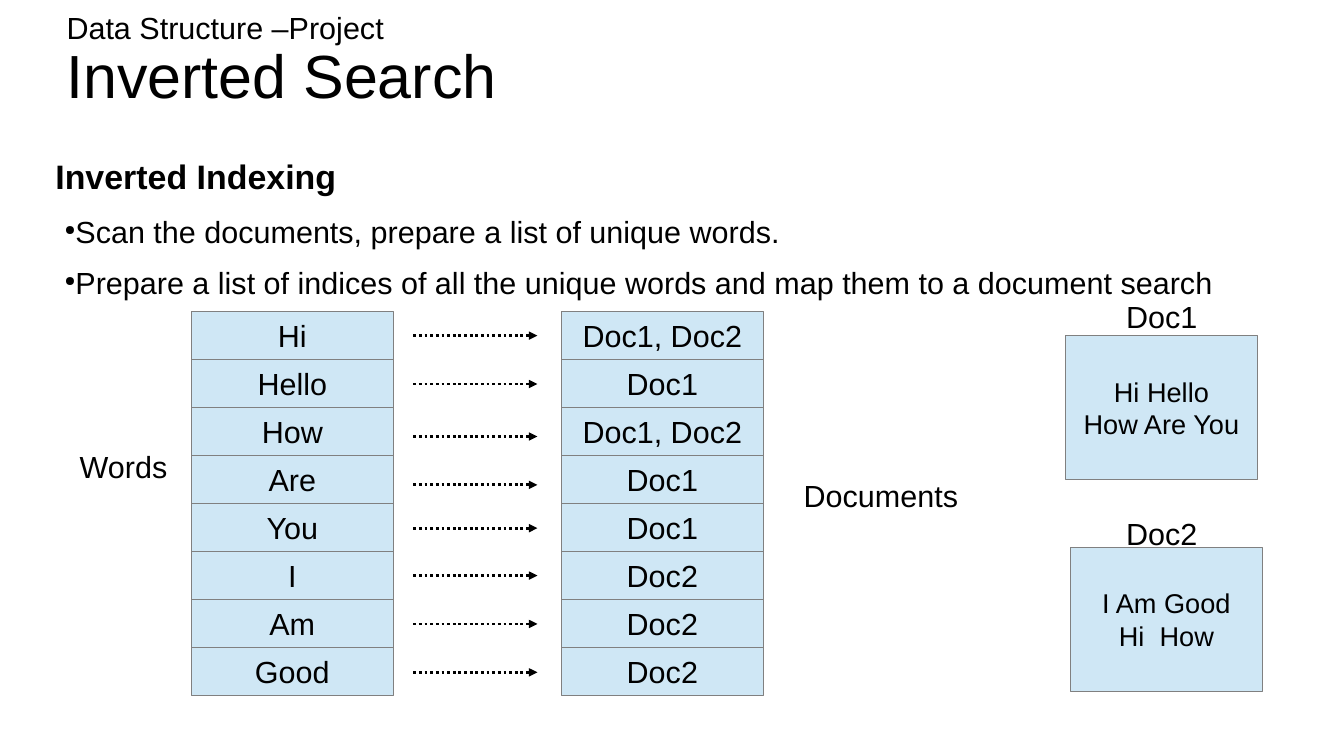
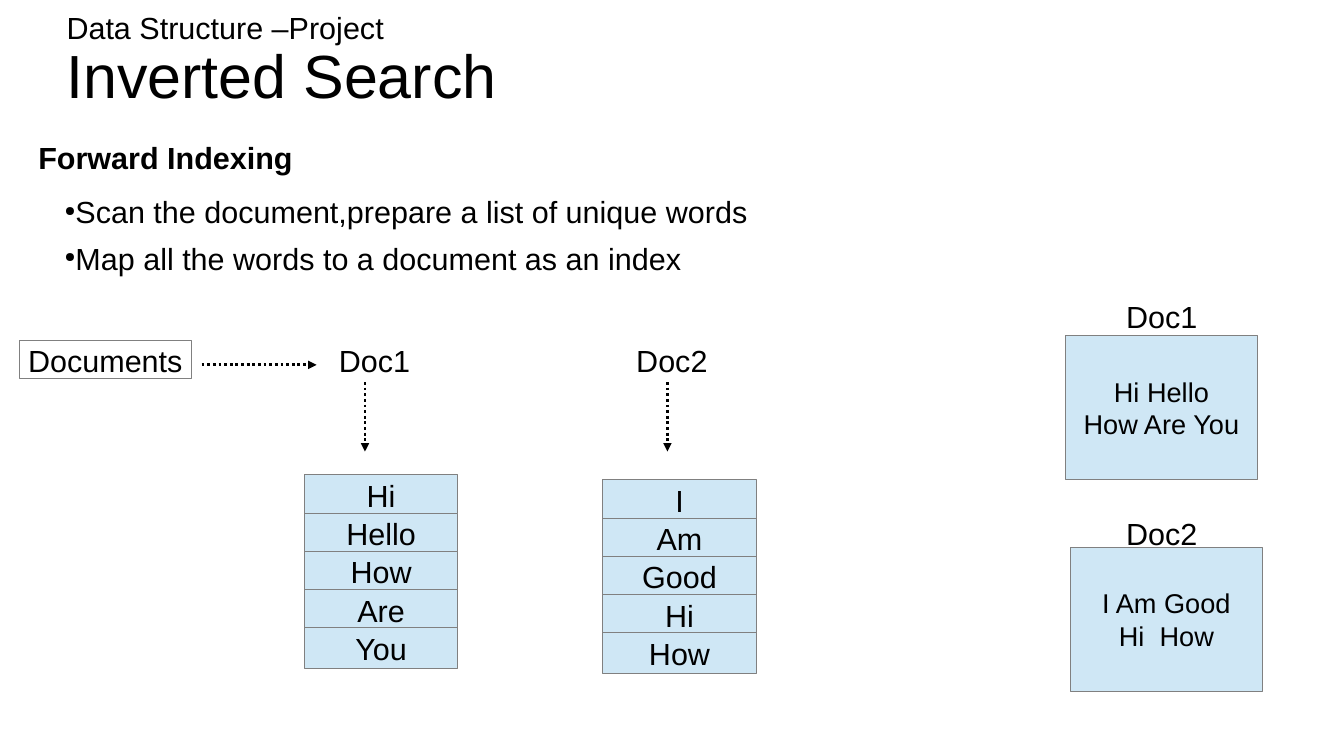
from dataclasses import dataclass

from lxml.etree import SubElement
from pptx import Presentation
from pptx.dml.color import RGBColor
from pptx.enum.dml import MSO_LINE
from pptx.enum.shapes import MSO_CONNECTOR, MSO_SHAPE
from pptx.enum.text import MSO_ANCHOR, PP_ALIGN
from pptx.oxml.ns import qn
from pptx.shapes.autoshape import Shape
from pptx.slide import Slide
from pptx.text.text import TextFrame, _Paragraph
from pptx.util import Inches, Pt

BLACK = RGBColor(0x00, 0x00, 0x00)
WHITE = RGBColor(0xFF, 0xFF, 0xFF)
PALE_BLUE = RGBColor(0xCF, 0xE7, 0xF5)
GREY = RGBColor(0x80, 0x80, 0x80)

BODY = {"name": "Arial", "size": Pt(21.8), "bold": False}
TITLE = BODY | {"size": Pt(43.5)}
DOC_TEXT = BODY | {"size": Pt(19.4)}
HEADING = BODY | {"bold": True}
LARGE_HEADING = HEADING | {"size": Pt(24.2)}

TEXT_MARGINS = {
    "margin_left": Inches(0.12),
    "margin_right": Inches(0.12),
    "margin_top": Inches(0.06),
    "margin_bottom": Inches(0.06),
}
NO_MARGINS = dict.fromkeys(TEXT_MARGINS, 0)


@dataclass(frozen=True)
class Box:
    left: float
    top: float
    width: float
    height: float

    def emu(self) -> tuple[int, int, int, int]:
        return (Inches(self.left), Inches(self.top),
                Inches(self.width), Inches(self.height))


@dataclass(frozen=True)
class Document:
    name: str
    lines: tuple[str, ...]
    label: Box
    page: Box


@dataclass(frozen=True)
class Column:
    """A stack of word cells; step is the distance between cell tops."""
    cells: tuple[str, ...]
    first: Box
    step: float


DOCUMENTS = (
    Document("Doc1", ("Hi Hello", "How Are You"),
             Box(11.05, 2.9, 1.2, 0.46), Box(10.57, 3.33, 1.9, 1.43)),
    Document("Doc2", ("I Am Good", "Hi  How"),
             Box(11.05, 5.05, 1.2, 0.46), Box(10.62, 5.43, 1.9, 1.43)),
)


def set_attrs(target: object, values: dict) -> None:
    for name, value in values.items():
        setattr(target, name, value)


def add_run(p: _Paragraph, text: str, fmt: dict) -> None:
    r = p.add_run()
    r.text = text
    set_attrs(r.font, fmt)
    r.font.color.rgb = BLACK


def fill_frame(tf: TextFrame, lines: tuple[str, ...], fmt: dict,
               align: PP_ALIGN) -> None:
    set_attrs(tf, TEXT_MARGINS)
    for i, line in enumerate(lines):
        p = tf.add_paragraph() if i else tf.paragraphs[0]
        p.alignment = align
        add_run(p, line, fmt)


def add_text(s: Slide, box: Box, *lines: str, fmt: dict = BODY) -> TextFrame:
    tf = s.shapes.add_textbox(*box.emu()).text_frame
    tf.word_wrap = True
    fill_frame(tf, lines, fmt, PP_ALIGN.LEFT)
    return tf


def add_box(s: Slide, box: Box, *lines: str, fmt: dict = BODY,
            fill: RGBColor = PALE_BLUE) -> Shape:
    sp = s.shapes.add_shape(MSO_SHAPE.RECTANGLE, *box.emu())
    sp.shadow.inherit = False
    sp.fill.solid()
    sp.fill.fore_color.rgb = fill
    sp.line.color.rgb = GREY
    sp.line.width = Pt(0)
    tf = sp.text_frame
    set_attrs(tf, {"word_wrap": False, "vertical_anchor": MSO_ANCHOR.MIDDLE})
    fill_frame(tf, lines, fmt, PP_ALIGN.CENTER)
    return sp


def add_arrow(s: Slide, x1: float, y1: float, x2: float, y2: float) -> None:
    """Draw a dotted hairline with an arrowhead at its end."""
    cxn = s.shapes.add_connector(MSO_CONNECTOR.STRAIGHT, Inches(x1), Inches(y1),
                                 Inches(x2), Inches(y2))
    cxn.line.color.rgb = BLACK
    cxn.line.width = Pt(0)
    cxn.line.dash_style = MSO_LINE.ROUND_DOT
    SubElement(cxn.line._get_or_add_ln(), qn("a:tailEnd"), type="triangle")
    SubElement(cxn._element.spPr, qn("a:effectLst"))


def add_bullets(s: Slide, top: float, gap: float, *lines: str) -> None:
    tf = add_text(s, Box(0.52, top, 11.76, 1.1), *lines)
    for p in tf.paragraphs:
        p.space_after = Pt(gap)
        pPr = p._p.get_or_add_pPr()
        color = SubElement(pPr, qn("a:buClr"))
        SubElement(color, qn("a:srgbClr"), val=str(BLACK))
        SubElement(pPr, qn("a:buSzPct"), val="45000")
        SubElement(pPr, qn("a:buChar"), char="●")


def add_column(s: Slide, column: Column) -> None:
    first = column.first
    for i, text in enumerate(column.cells):
        top = first.top + i * column.step
        add_box(s, Box(first.left, top, first.width, first.height), text)


def new_slide(prs: Presentation) -> Slide:
    """Add a slide with the title and the two sample documents."""
    s = prs.slides.add_slide(prs.slide_layouts[6])
    tf = s.shapes.add_textbox(*Box(0.66, 0, 9.29, 1.24).emu()).text_frame
    set_attrs(tf, NO_MARGINS | {"word_wrap": True,
                                "vertical_anchor": MSO_ANCHOR.MIDDLE})
    p = tf.paragraphs[0]
    p.line_spacing = 0.9
    add_run(p, "Data Structure –Project", BODY)
    p.add_line_break()
    add_run(p, "Inverted Search", TITLE)
    for doc in DOCUMENTS:
        add_box(s, doc.page, *doc.lines, fmt=DOC_TEXT)
        add_text(s, doc.label, doc.name)
    return s


def build_inverted(prs: Presentation) -> None:
    s = new_slide(prs)
    add_text(s, Box(0.43, 1.48, 3.33, 0.87), "Inverted Indexing",
             fmt=LARGE_HEADING)
    add_bullets(s, 2.05, 10.3,
                "Scan the documents, prepare a list of unique words.",
                "Prepare a list of indices of all the unique words"
                " and map them to a document search")

    index = {
        "Hi": "Doc1, Doc2", "Hello": "Doc1", "How": "Doc1, Doc2",
        "Are": "Doc1", "You": "Doc1", "I": "Doc2", "Am": "Doc2",
        "Good": "Doc2",
    }
    step = 3.81 / len(index)
    for left, cells in ((1.9, index.keys()), (5.57, index.values())):
        add_column(s, Column(tuple(cells), Box(left, 3.09, 2, step), step))
    for y in (3.33, 3.81, 4.33, 4.81, 5.24, 5.71, 6.19, 6.67):
        add_arrow(s, 4.1, y, 5.33, y)

    add_text(s, Box(0.67, 4.38, 1.32, 0.46), "Words")
    add_text(s, Box(7.85, 4.67, 2.01, 0.46), "Documents")


def build_forward(prs: Presentation) -> None:
    s = new_slide(prs)
    add_text(s, Box(0.26, 1.32, 3.08, 0.8), "Forward Indexing", fmt=HEADING)
    add_bullets(s, 1.86, 7.3,
                "Scan the document,prepare a list of unique words",
                "Map all the words to a document as an index")

    add_box(s, Box(0.19, 3.38, 1.71, 0.38), "Documents", fill=WHITE)
    add_arrow(s, 2, 3.62, 3.14, 3.62)
    columns = (
        Column(("Hi", "Hello", "How", "Are", "You"),
               Box(3.02, 4.71, 1.52, 0.4), 0.38),
        Column(("I", "Am", "Good", "Hi", "How"),
               Box(5.98, 4.76, 1.52, 0.4), 0.38),
    )
    for doc, column, label_x, arrow_x in zip(DOCUMENTS, columns,
                                             (3.24, 6.19), (3.62, 6.62)):
        add_text(s, Box(label_x, 3.33, 1.15, 0.46), doc.name)
        add_arrow(s, arrow_x, 3.79, arrow_x, 4.48)
        add_column(s, column)


def main() -> None:
    prs = Presentation()
    prs.slide_width = Inches(13.33)
    prs.slide_height = Inches(7.5)
    build_inverted(prs)
    build_forward(prs)
    prs.save("out.pptx")


if __name__ == "__main__":
    main()
